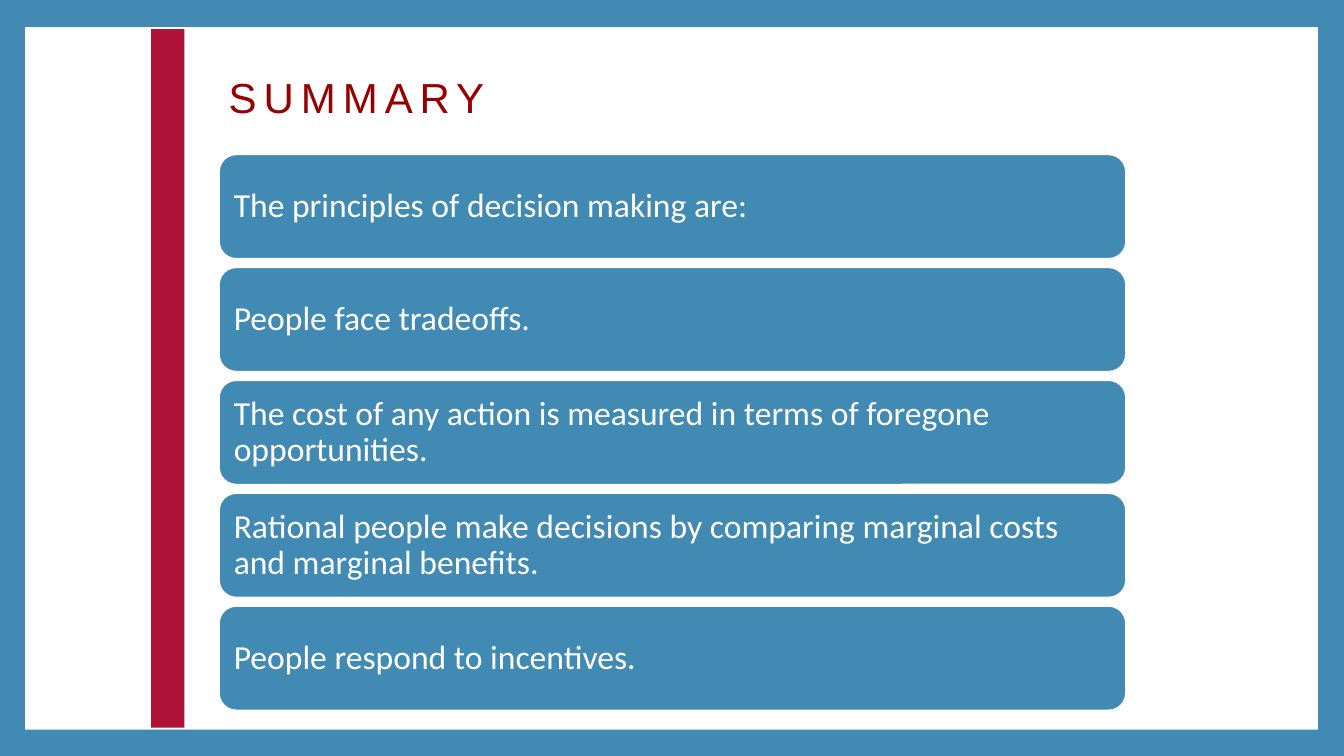
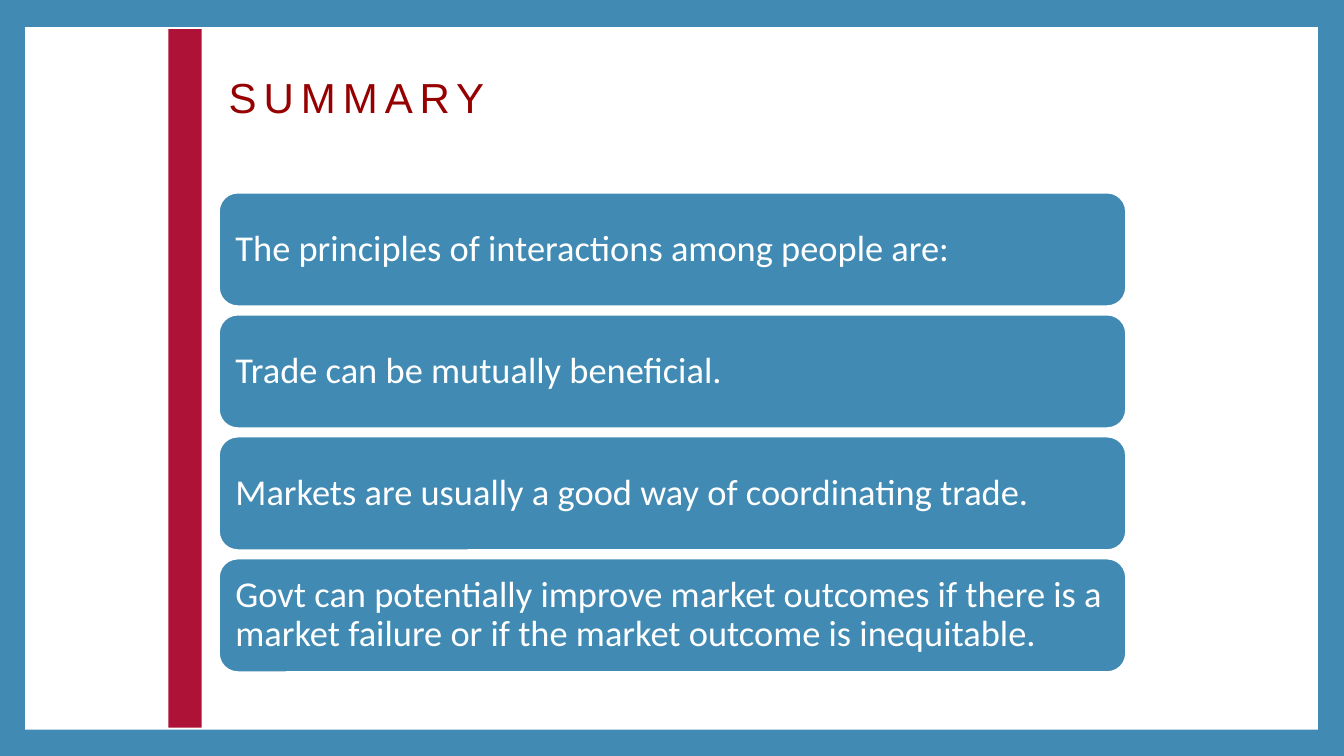
from dataclasses import dataclass

from pptx import Presentation
from pptx.dml.color import RGBColor
from pptx.enum.shapes import MSO_SHAPE
from pptx.enum.text import MSO_ANCHOR, PP_ALIGN
from pptx.util import Inches, Pt

RECT = MSO_SHAPE.RECTANGLE
ROUNDED = MSO_SHAPE.ROUNDED_RECTANGLE
MIDDLE, BOTTOM = MSO_ANCHOR.MIDDLE, MSO_ANCHOR.BOTTOM
LEFT = PP_ALIGN.LEFT
BLANK_LAYOUT = 6


@dataclass(frozen=True)
class Theme:
    blue: RGBColor = RGBColor(0x41, 0x8A, 0xB3)
    white: RGBColor = RGBColor(0xFF, 0xFF, 0xFF)
    crimson: RGBColor = RGBColor(0xAE, 0x12, 0x37)
    title_red: RGBColor = RGBColor(0x96, 0x00, 0x00)
    title_font: str = "Arial"
    body_font: str = "Calibri"
    title_size: int = 30
    title_tracking: int = 500  # hundredths of a point
    card_outline: float = 1.5


THEME = Theme()

# Card stack geometry, in inches
CARD_LEFT, CARD_WIDTH = 2.17, 9

SUMMARIES = [
    {
        "bar_left": 1.5, "top": 1.53, "height": 1.04, "pitch": 1.12,
        "size": 24, "inset": 0.1,
        "points": [
            "The principles of decision making are:",
            "People face tradeoffs.",
            "The cost of any action is measured in terms of foregone opportunities.",
            "Rational people make decisions by comparing marginal costs and marginal benefits.",
            "People respond to incentives.",
        ],
    },
    {
        "bar_left": 1.67, "top": 1.91, "height": 1.13, "pitch": 1.21,
        "size": 26, "inset": 0.11,
        "points": [
            "The principles of interactions among people are:",
            "Trade can be mutually beneficial.",
            "Markets are usually a good way of coordinating trade.",
            "Govt can potentially improve market outcomes if there is a market failure "
            "or if the market outcome is inequitable.",
        ],
    },
]


def add_block(slide, preset, box, fill, outline=None):
    """Add a flat filled shape; box is left, top, width, height in inches."""
    block = slide.shapes.add_shape(preset, *map(Inches, box))
    block.shadow.inherit = False
    block.fill.solid()
    block.fill.fore_color.rgb = fill
    if outline is None:
        block.line.fill.background()
    else:
        block.line.color.rgb = outline
        block.line.width = Pt(THEME.card_outline)
    return block


def write_text(holder, text, font, size, color, anchor, insets, spacing):
    """Write one left-aligned paragraph; insets are left, top, right, bottom."""
    frame = holder.text_frame
    frame.word_wrap = True
    frame.vertical_anchor = anchor
    (frame.margin_left, frame.margin_top,
     frame.margin_right, frame.margin_bottom) = map(Inches, insets)
    paragraph = frame.paragraphs[0]
    paragraph.alignment = LEFT
    paragraph.line_spacing = spacing
    run = paragraph.add_run()
    run.text = text
    run.font.name = font
    run.font.size = Pt(size)
    run.font.color.rgb = color
    return run


def add_frame(slide, bar_left):
    # White panel inside the blue border, with the vertical accent bar
    add_block(slide, RECT, (0.25, 0.27, 12.82, 6.97), THEME.white)
    add_block(slide, RECT, (bar_left, 0.29, 0.33, 6.93), THEME.crimson)


def add_title(slide, text):
    title = slide.shapes.add_textbox(*map(Inches, (2.17, 0.42, 9.25, 0.79)))
    run = write_text(title, text, THEME.title_font, THEME.title_size,
                     THEME.title_red, BOTTOM, (0.1, 0.05, 0.1, 0), 1.05)
    run.font._element.set("spc", str(THEME.title_tracking))


def add_cards(slide, points, top, height, pitch, size, inset):
    # Equal cards stacked at a fixed pitch
    for index, point in enumerate(points):
        box = (CARD_LEFT, top + index * pitch, CARD_WIDTH, height)
        card = add_block(slide, ROUNDED, box, THEME.blue, THEME.white)
        write_text(card, point, THEME.body_font, size, THEME.white,
                   MIDDLE, (inset,) * 4, 0.9)


def add_summary_slide(prs, bar_left, **cards):
    slide = prs.slides.add_slide(prs.slide_layouts[BLANK_LAYOUT])
    add_frame(slide, bar_left)
    add_title(slide, "SUMMARY")
    add_cards(slide, **cards)


def main():
    prs = Presentation()
    prs.slide_width, prs.slide_height = Inches(13.33), Inches(7.5)
    # The blue border is the background shared by every slide
    backdrop = prs.slide_master.background.fill
    backdrop.solid()
    backdrop.fore_color.rgb = THEME.blue
    for summary in SUMMARIES:
        add_summary_slide(prs, **summary)
    prs.save("out.pptx")


if __name__ == "__main__":
    main()
